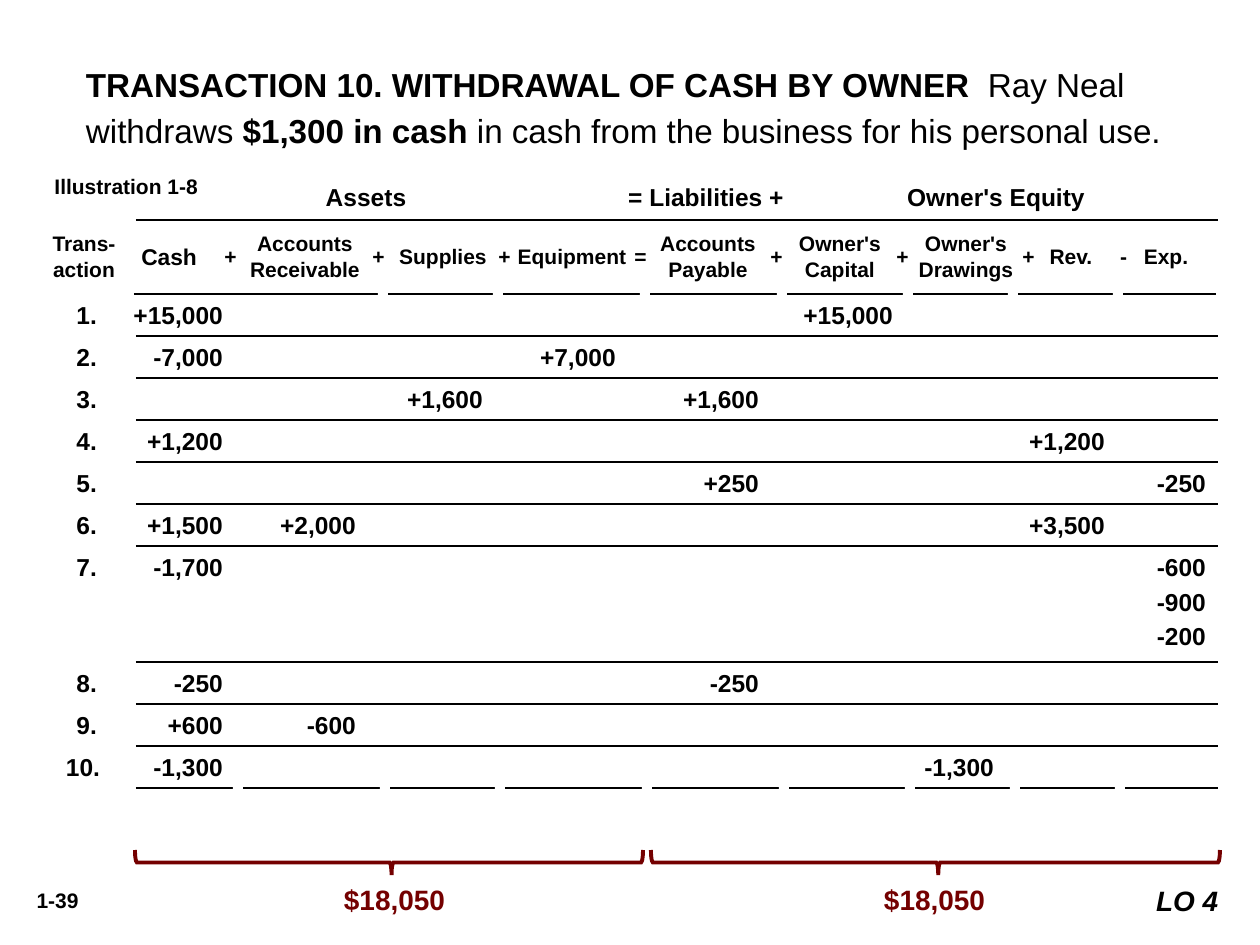
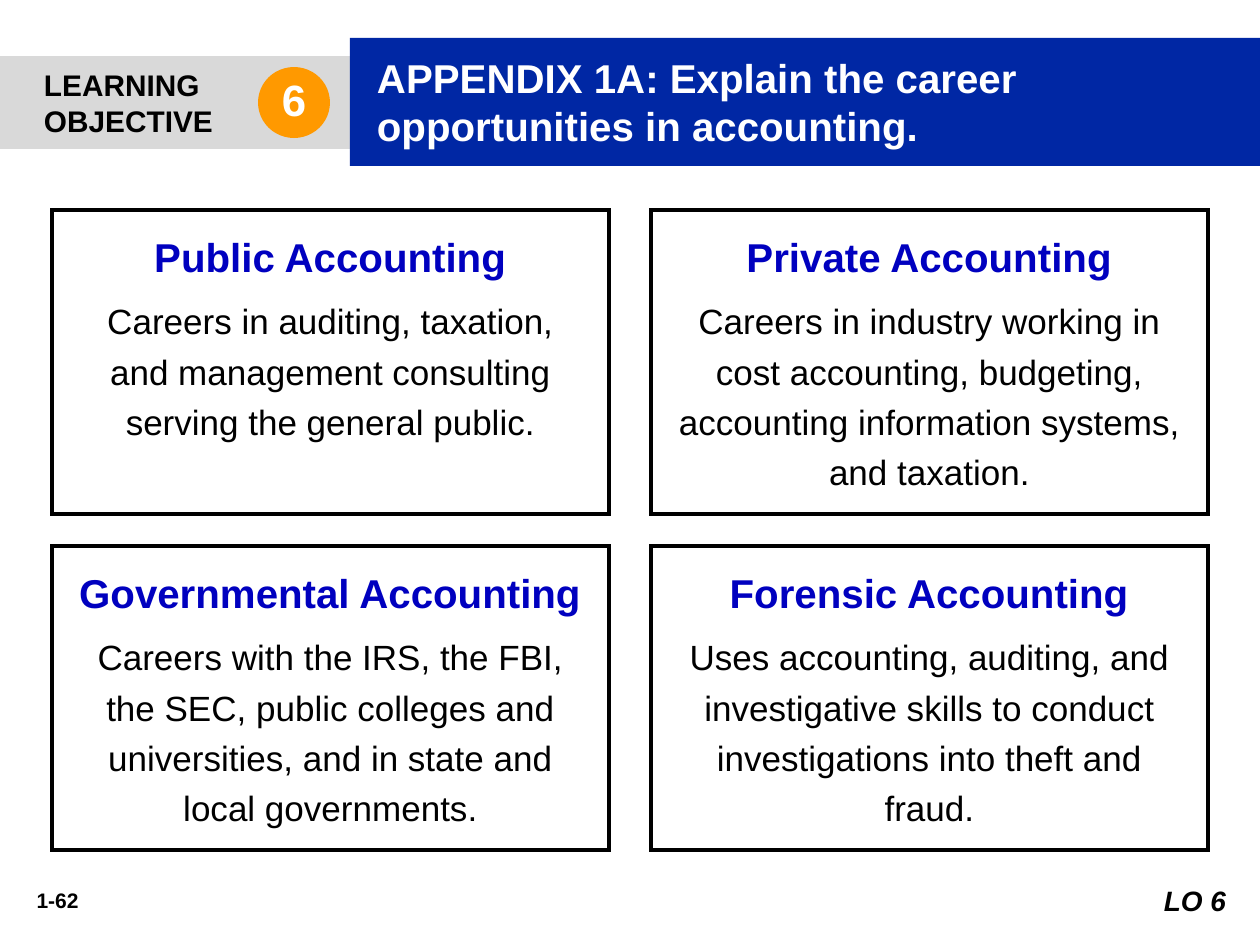
from lxml import etree
from pptx import Presentation, util as u
from pptx.dml.color import RGBColor
from pptx.enum import shapes, text
from pptx.oxml import ns

PX = 914400 / 126
FONT = "Arial"
COLORS = {"black": "000000", "white": "FFFFFF", "maroon": "740000", "navy": "0027A4",
          "blue": "0000BF", "grey": "D9D9D9", "orange": "FF9900"}
ALIGN = {"l": text.PP_ALIGN.LEFT, "c": text.PP_ALIGN.CENTER, "r": text.PP_ALIGN.RIGHT}
ANCHOR = {"top": text.MSO_ANCHOR.TOP, "middle": text.MSO_ANCHOR.MIDDLE}
RECT = shapes.MSO_SHAPE.RECTANGLE


def px(*lengths):
    return [u.Emu(round(length * PX)) for length in lengths]


def color(name):
    return RGBColor.from_string(COLORS[name])


# Text and shape helpers
def add_tabs(para, stops, align):
    tabs = etree.SubElement(para._p.get_or_add_pPr(), ns.qn("a:tabLst"))
    for stop in px(*stops):
        etree.SubElement(tabs, ns.qn("a:tab"), pos=str(stop), algn=align)


def add_para(frame, spans, size=12, bold=True, italic=False, ink="black", align="l",
             line=None, before=0, tabs=(), tab_align="r"):
    """Add a paragraph; spans is a string or a list of (text, bold) pairs."""
    first = not frame.paragraphs[0].runs
    para = frame.paragraphs[0] if first else frame.add_paragraph()
    if tabs:
        add_tabs(para, tabs, tab_align)
    para.alignment = ALIGN[align]
    if line:
        para.line_spacing = line
    if not first:
        para.space_before = u.Pt(before)
    for words, heavy in [(spans, bold)] if isinstance(spans, str) else spans:
        span = para.add_run()
        span.text = words
        font = span.font
        font.name, font.size, font.bold, font.italic = FONT, u.Pt(size), heavy, italic
        font.color.rgb = color(ink)


def set_frame(shape, insets=(13, 6, 13, 6), anchor="top"):
    frame = shape.text_frame
    frame.word_wrap = True
    frame.vertical_anchor = ANCHOR[anchor]
    (frame.margin_left, frame.margin_top,
     frame.margin_right, frame.margin_bottom) = px(*insets)
    return frame


def add_text(page, box, paras, insets=(13, 6, 13, 6), anchor="top", **style):
    frame = set_frame(page.shapes.add_textbox(*px(*box)), insets, anchor)
    for spans in paras:
        add_para(frame, spans, **style)


def add_shape(page, kind, box, fill=None, line=None, weight=2.25):
    shape = page.shapes.add_shape(kind, *px(*box))
    shape.shadow.inherit = False
    if fill:
        shape.fill.solid()
        shape.fill.fore_color.rgb = color(fill)
    else:
        shape.fill.background()
    if line:
        shape.line.color.rgb = color(line)
        shape.line.width = u.Pt(weight)
        etree.SubElement(shape.line._get_or_add_ln(), ns.qn("a:miter"), lim="800000")
    else:
        shape.line.fill.background()
    return shape


def add_rule(page, left, right, y):
    rule = page.shapes.add_connector(shapes.MSO_CONNECTOR.STRAIGHT, *px(left, y, right, y))
    rule.line.color.rgb = color("black")
    rule.line.width = u.Pt(1.5)
    etree.SubElement(rule._element.spPr, ns.qn("a:effectLst"))


def add_footer(page, number, objective):
    add_text(page, (10, 882, 95, 38), [number], align="c")
    tag = add_shape(page, RECT, (1134, 878, 105, 47), "white")
    add_para(set_frame(tag), objective, size=16, italic=True, align="r")


# Slide 1: the accounting equation
LEDGER_LEFT, LEDGER_RIGHT = 136, 1218
STOPS = {"cash": 157, "receivable": 290, "supplies": 417, "equipment": 550, "payable": 693,
         "capital": 827, "drawings": 928, "revenue": 1039, "expense": 1140}
LABEL_STOP = 31
HEADERS = [(["Trans-", "action"], 32, 104), (["Accounts", "Receivable"], 242, 126),
           (["Supplies"], 394, 98), (["Equipment"], 504, 136),
           (["Accounts", "Payable"], 640, 136), (["Owner's Capital"], 777, 126),
           (["Owner's Drawings"], 903, 126), (["Rev."], 1029, 84), (["Exp."], 1124, 84)]
SIGNS = [("+", 220), ("+", 368), ("+", 494), ("=", 630), ("+", 766), ("+", 892),
         ("+", 1018), ("-", 1113)]
GAPS = [233, 380, 495, 642, 779, 905, 1010, 1115]
TRANSACTIONS = [
    [{"cash": "+15,000", "capital": "+15,000"}],
    [{"cash": "-7,000", "equipment": "+7,000"}],
    [{"supplies": "+1,600", "payable": "+1,600"}],
    [{"cash": "+1,200", "revenue": "+1,200"}],
    [{"payable": "+250", "expense": "-250"}],
    [{"cash": "+1,500", "receivable": "+2,000", "revenue": "+3,500"}],
    [{"cash": "-1,700", "expense": "-600"}, {"expense": "-900"}, {"expense": "-200"}],
    [{"cash": "-250", "payable": "-250"}],
    [{"cash": "+600", "receivable": "-600"}],
    [{"cash": "-1,300", "drawings": "-1,300"}],
]


def add_split_rule(page, y, gaps, shift=0):
    """Draw a rule across the ledger, broken by white blocks between columns."""
    add_rule(page, LEDGER_LEFT + shift, LEDGER_RIGHT + shift, y)
    for gap in gaps:
        add_shape(page, RECT, (gap + shift, y - 10, 10, 21), "white")


def add_ledger_head(page, top):
    add_text(page, (126, top, 1092, 37), ["\tAssets\t= Liabilities +\tOwner's Equity"],
             size=14, anchor="middle", tabs=(227, 567, 857), tab_align="ctr")
    rule = top + 42
    add_rule(page, LEDGER_LEFT, LEDGER_RIGHT, rule)
    add_split_rule(page, rule + 74, GAPS[1:], shift=-2)
    cell = {"insets": (0, 6, 0, 6), "anchor": "middle", "align": "c"}
    for lines, left, width in HEADERS:
        add_text(page, (left, rule, width, 72), lines, **cell)
    add_text(page, (117, rule, 104, 72), ["Cash"], size=13, **cell)
    for sign, left in SIGNS:
        add_text(page, (left, rule, 21, 72), [sign], **cell)


def add_ledger_rows(page, top):
    for number, lines in enumerate(TRANSACTIONS, 1):
        height = 42 + 37 * (len(lines) - 1)
        frame = set_frame(page.shapes.add_textbox(*px(53, top, 1187, height)))
        for index, values in enumerate(lines):
            label = "" if index else f"\t{number}."
            stops = [STOPS[column] for column in values]
            add_para(frame, label + "".join("\t" + value for value in values.values()),
                     size=14, before=3, tabs=stops if index else [LABEL_STOP] + stops)
        top += height
        if number < len(TRANSACTIONS):
            add_rule(page, LEDGER_LEFT, LEDGER_RIGHT, top)
    add_split_rule(page, top, GAPS)


def add_total(page, left, width, top, amount, amount_left, amount_width):
    depth = 25
    # The brace is upright before its quarter turn about the centre
    brace = add_shape(page, shapes.MSO_SHAPE.LEFT_BRACE,
                      (left + (width - depth) / 2, top + (depth - width) / 2, depth, width),
                      line="maroon")
    brace.rotation = 270
    brace.adjustments[0], brace.adjustments[1] = 0.08, 101 / 200
    add_text(page, (amount_left, top + 27, amount_width, 47), [amount],
             size=16, ink="maroon", align="c")


def build_transaction(page):
    add_text(page, (73, 52, 1124, 106),
             [[("TRANSACTION 10. WITHDRAWAL OF CASH BY OWNER ", True),
               (" Ray Neal withdraws ", False), ("$1,300 in cash ", True),
               ("in cash from the business for his personal use.", False)]],
             size=19, line=1.15)
    add_text(page, (32, 168, 179, 38), ["Illustration 1-8"], align="r")
    add_ledger_head(page, 178)
    add_ledger_rows(page, 294)
    add_total(page, 135, 508, 850, "$18,050", 305, 179)
    add_total(page, 651, 569, 850, "$18,050", 840, 189)
    add_footer(page, "1-39", "LO 4 ")


# Slide 2: careers in accounting
CAREERS = [
    ("Public Accounting", "Careers in auditing, taxation, and management consulting "
     "serving the general public."),
    ("Private Accounting", "Careers in industry working in cost accounting, budgeting, "
     "accounting information systems, and taxation."),
    ("Governmental Accounting", "Careers with the IRS, the FBI, the SEC, public colleges "
     "and universities, and in state and local governments."),
    ("Forensic Accounting", "Uses accounting, auditing, and investigative skills to conduct "
     "investigations into theft and fraud."),
]


def add_objective_band(page, top, number, title):
    label = add_shape(page, RECT, (0, top + 18, 350, 93), "grey")
    frame = set_frame(label, (44, 6, 11, 6), "middle")
    for word in ("LEARNING", "OBJECTIVE"):
        add_para(frame, word, size=17)
    banner = add_shape(page, RECT, (350, top, 910, 128), "navy")
    add_para(set_frame(banner, (27, 5, 11, 6), "middle"), title, size=23, ink="white")
    badge = add_shape(page, shapes.MSO_SHAPE.OVAL, (258, top + 29, 72, 71), "orange")
    add_para(set_frame(badge, (0, 0, 0, 7), "middle"), number,
             size=25, ink="white", align="c")


def add_career(page, box, heading, body):
    card = add_shape(page, RECT, box, "white", "black")
    frame = set_frame(card, (25, 13, 25, 13))
    add_para(frame, heading, size=23, ink="blue", align="c", line=1.2)
    add_para(frame, body, size=20, bold=False, align="c", line=1.2, before=6)


def build_careers(page):
    add_objective_band(page, 38, "6",
                       "APPENDIX 1A: Explain the career opportunities in accounting.")
    for index, (heading, body) in enumerate(CAREERS):
        row, column = divmod(index, 2)
        add_career(page, (52 + 599 * column, 210 + 336 * row, 557, 304), heading, body)
    add_footer(page, "1-62", "LO 6")


def main():
    deck = Presentation()
    deck.slide_width, deck.slide_height = px(1260, 945)
    for build in (build_transaction, build_careers):
        build(deck.slides.add_slide(deck.slide_layouts[6]))
    deck.save("out.pptx")


if __name__ == "__main__":
    main()
